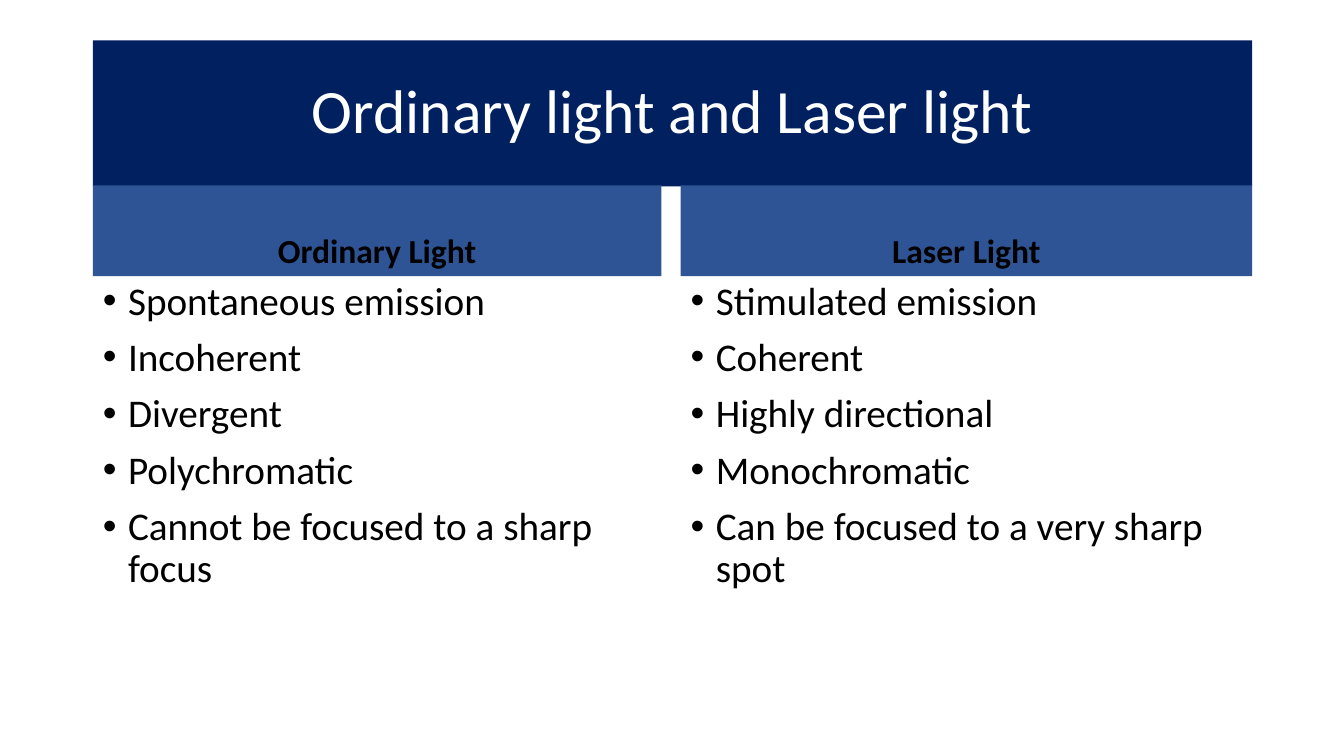
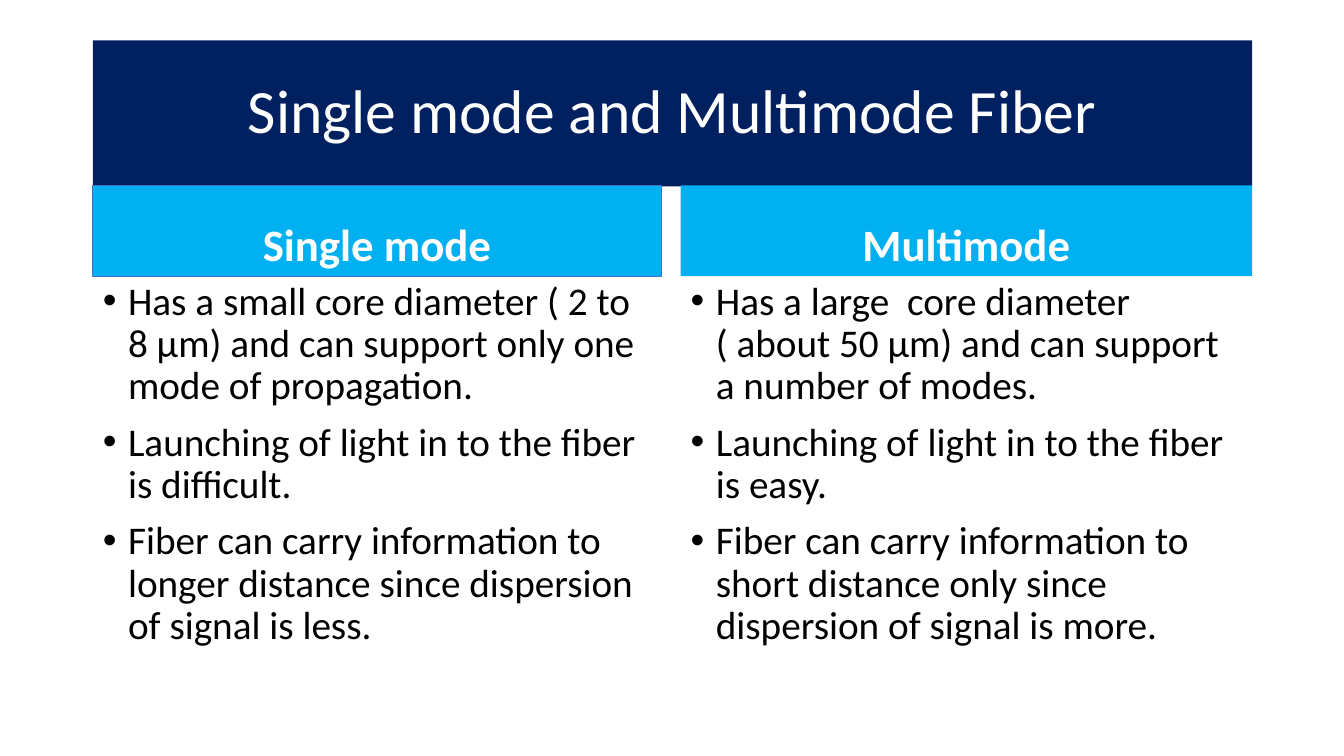
from lxml.etree import SubElement
from pptx import Presentation
from pptx.dml.color import RGBColor
from pptx.enum.text import MSO_ANCHOR as Anchor, MSO_AUTO_SIZE as AutoSize, PP_ALIGN as Align
from pptx.oxml.ns import qn
from pptx.util import Inches, Pt

NAVY, BLUE, SKY, EDGE = "002060", "2F5496", "00B0F0", "4472C4"
WHITE, BLACK = "FFFFFF", "000000"
FONT = "Calibri"
COMPARISON_LAYOUT = 4
LEFT, WIDTH = 0.92, 11.5
TITLE_TOP, TITLE_HEIGHT = 0.4, 1.45
HEADING_TOP, HEADING_HEIGHT = 1.84, 0.9
LIST_TOP, LIST_HEIGHT = HEADING_TOP + HEADING_HEIGHT, 4.03
COLUMNS = [(LEFT, 5.64), (6.75, 5.67)]


def color(hex_code):
    return RGBColor.from_string(hex_code)


class ComparisonDeck:
    """Holds the shared style and the current two-column comparison slide."""

    def __init__(self):
        self.deck = Presentation()
        self.deck.slide_width, self.deck.slide_height = Inches(13.33), Inches(7.5)
        self.slide = None

    def new_slide(self):
        layout = self.deck.slide_layouts[COMPARISON_LAYOUT]
        self.slide = self.deck.slides.add_slide(layout)

    def place(self, index, box, anchor, fill=None):
        holder = self.slide.placeholders[index]
        holder.left, holder.top, holder.width, holder.height = map(Inches, box)
        if fill:
            holder.fill.solid()
            holder.fill.fore_color.rgb = color(fill)
        frame = holder.text_frame
        frame.word_wrap = True
        frame.auto_size = AutoSize.NONE
        frame.vertical_anchor = anchor
        frame.margin_left = frame.margin_right = Inches(0.1)
        frame.margin_top = frame.margin_bottom = Inches(0.05)
        return holder

    def add_text(self, paragraph, text, size, ink, align, bold=False, before=0):
        paragraph.alignment = align
        paragraph.line_spacing = 0.9
        paragraph.space_before = Pt(before)
        run = paragraph.add_run()
        run.text = text
        font = run.font
        font.name, font.size, font.bold = FONT, Pt(size), bold
        font.color.rgb = color(ink)

    def bullet(self, paragraph):
        properties = paragraph._p.get_or_add_pPr()
        properties.set("marL", str(Inches(0.25)))
        properties.set("indent", str(Inches(-0.25)))
        tint = SubElement(properties, qn("a:buClr"))
        SubElement(tint, qn("a:srgbClr"), val=BLACK)
        SubElement(properties, qn("a:buFont"), typeface="Arial")
        SubElement(properties, qn("a:buChar"), char="•")

    def title(self, text):
        box = (LEFT, TITLE_TOP, WIDTH, TITLE_HEIGHT)
        band = self.place(0, box, Anchor.MIDDLE, NAVY)
        self.add_text(band.text_frame.paragraphs[0], text, 44, WHITE, Align.CENTER)

    def heading(self, column, text, fill, size, ink, edge=None):
        left, width = COLUMNS[column]
        box = (left, HEADING_TOP, width, HEADING_HEIGHT)
        band = self.place(1 + 2 * column, box, Anchor.BOTTOM, fill)
        if edge:
            band.line.color.rgb = color(edge)
            band.line.width = Pt(0.75)
        self.add_text(band.text_frame.paragraphs[0], text, size, ink, Align.CENTER, bold=True)

    def points(self, column, items):
        left, width = COLUMNS[column]
        box = (left, LIST_TOP, width, LIST_HEIGHT)
        frame = self.place(2 + 2 * column, box, Anchor.TOP).text_frame
        for number, item in enumerate(items):
            paragraph = frame.add_paragraph() if number else frame.paragraphs[0]
            self.add_text(paragraph, item, 28, BLACK, Align.LEFT, before=10 if number else 0)
            self.bullet(paragraph)

    def compare(self, title, sides, fill, size, ink, edges=(None, None)):
        self.new_slide()
        self.title(title)
        for column, (heading, items) in enumerate(sides):
            self.heading(column, heading, fill, size, ink, edges[column])
            self.points(column, items)


def main():
    lessons = ComparisonDeck()
    lessons.compare(
        "Ordinary light and Laser light",
        [
            ("Ordinary Light", [
                "Spontaneous emission",
                "Incoherent",
                "Divergent",
                "Polychromatic",
                "Cannot be focused to a sharp focus",
            ]),
            ("Laser Light", [
                "Stimulated emission",
                "Coherent",
                "Highly directional",
                "Monochromatic",
                "Can be focused to a very sharp spot",
            ]),
        ],
        BLUE, 24, BLACK,
    )
    lessons.compare(
        "Single mode and Multimode Fiber",
        [
            ("Single mode", [
                "Has a small core diameter ( 2 to 8 µm) and can support only one mode of propagation.",
                "Launching of light in to the fiber is difficult.",
                "Fiber can carry information to longer distance since dispersion of signal is less.",
            ]),
            ("Multimode", [
                "Has a large  core diameter ( about 50 µm) and can support a number of modes.",
                "Launching of light in to the fiber is easy.",
                "Fiber can carry information to short distance only since dispersion of signal is more.",
            ]),
        ],
        SKY, 32, WHITE, edges=(EDGE, None),
    )
    lessons.deck.save("out.pptx")


if __name__ == "__main__":
    main()
